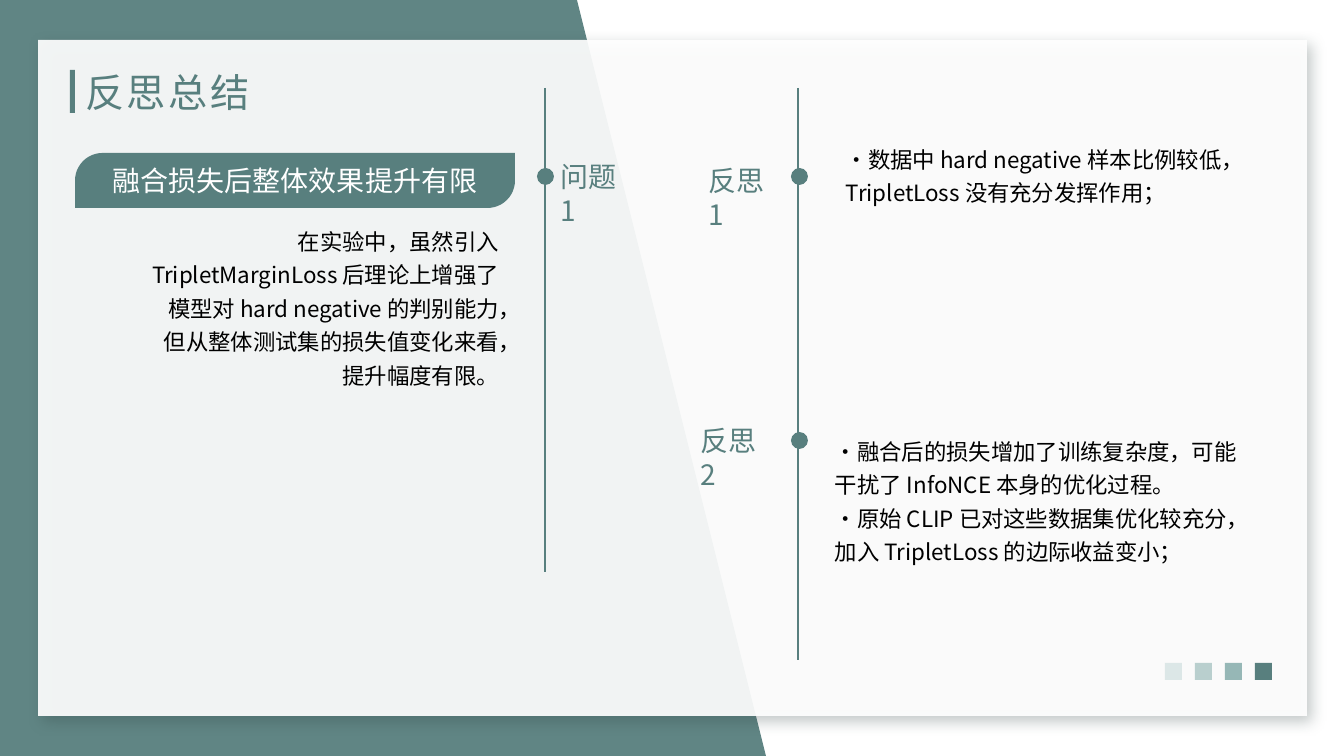
from pptx import Presentation
from pptx.dml.color import RGBColor
from pptx.enum.shapes import MSO_CONNECTOR as Connector, MSO_SHAPE as Shape
from pptx.enum.text import MSO_ANCHOR as Anchor, PP_ALIGN as Align
from pptx.oxml import parse_xml
from pptx.oxml.ns import nsdecls
from pptx.oxml.xmlchemy import OxmlElement
from pptx.util import Emu, Pt

SCALE = 914400 / 100.8
FONT = "Noto Sans CJK SC"
COLORS = {
    "teal": "587F7E",
    "mid": "96B7B6",
    "light": "B9CFCE",
    "pale": "DCE7E7",
    "shade": "2C403F",
    "white": "FFFFFF",
    "black": "000000",
}


def px(value):
    return Emu(round(value * SCALE))


def color(name):
    return RGBColor.from_string(COLORS[name])


class SlideBuilder:
    def __init__(self, deck):
        self.page = deck.slides.add_slide(deck.slide_layouts[5])
        self.shapes = self.page.shapes

    def paint(self, shape, fill, opacity=100):
        shape.shadow.inherit = False
        shape.fill.solid()
        shape.fill.fore_color.rgb = color(fill)
        shape.line.fill.background()
        if opacity < 100:
            alpha = OxmlElement("a:alpha")
            alpha.set("val", str(opacity * 1000))
            shape._element.spPr.find("{*}solidFill/{*}srgbClr").append(alpha)
        return shape

    def shape(self, kind, left, top, width, height, fill, opacity=100):
        shape = self.shapes.add_shape(kind, px(left), px(top), px(width), px(height))
        return self.paint(shape, fill, opacity)

    def polygon(self, points, fill, opacity):
        outline = self.shapes.build_freeform(*points[0], scale=SCALE)
        outline.add_line_segments(points[1:], close=True)
        return self.paint(outline.convert_to_shape(), fill, opacity)

    def drop_shadow(self, shape):
        effects = shape._element.spPr.find("{*}effectLst")
        effects.append(parse_xml(
            f'<a:outerShdw {nsdecls("a")} blurRad="{Pt(10)}" dist="{Pt(6)}" '
            f'dir="2700000" algn="tl" rotWithShape="0">'
            f'<a:srgbClr val="{COLORS["shade"]}"><a:alpha val="30000"/></a:srgbClr>'
            f'</a:outerShdw>'))

    def vertical_line(self, x, top, bottom):
        line = self.shapes.add_connector(
            Connector.STRAIGHT, px(x), px(top), px(x), px(bottom))
        line.line.color.rgb = color("teal")
        line.line.width = Pt(2)
        line._element.spPr.append(OxmlElement("a:effectLst"))

    def fill_text(self, frame, texts, size, ink, align=Align.LEFT, spacing=None, tracking=0):
        frame.word_wrap = True
        for index, text in enumerate(texts):
            para = frame.add_paragraph() if index else frame.paragraphs[0]
            para.alignment = align
            para.line_spacing = spacing
            span = para.add_run()
            span.text = text
            span.font.size = Pt(size)
            span.font.name = FONT
            span.font.color.rgb = color(ink)
            properties = span._r.get_or_add_rPr()
            east_asian = OxmlElement("a:ea")
            east_asian.set("typeface", FONT)
            properties.find("{*}latin").addnext(east_asian)
            if tracking:
                properties.set("spc", str(tracking * 100))

    def text(self, left, top, width, height, texts, size, ink, **style):
        box = self.shapes.add_textbox(px(left), px(top), px(width), px(height))
        self.fill_text(box.text_frame, texts, size, ink, **style)

    def title(self, left, top, width, height, text):
        box = self.shapes.title
        box.left, box.top, box.width, box.height = map(px, (left, top, width, height))
        box.text_frame.vertical_anchor = Anchor.MIDDLE
        self.fill_text(box.text_frame, [text], 28, "teal", tracking=2)
        self.shapes._spTree.append(box._element)


def main():
    deck = Presentation()
    deck.slide_width, deck.slide_height = px(1344), px(756)
    slide = SlideBuilder(deck)

    slide.shape(Shape.RECTANGLE, 306, 0, 1038, 756, "white", 95)
    slide.polygon([(0, 0), (577, 0), (766, 756), (0, 756)], "teal", 95)
    card = slide.shape(Shape.RECTANGLE, 38, 40, 1269, 676, "white", 92)
    slide.drop_shadow(card)

    for index, fill in enumerate(["pale", "light", "mid", "teal"]):
        slide.shape(Shape.RECTANGLE, 1165 + 30 * index, 663, 17, 17, fill)

    slide.shape(Shape.RECTANGLE, 70, 70, 5, 43, "teal")
    slide.title(75, 62, 546, 59, "反思总结")

    slide.vertical_line(545, 88, 572)
    slide.vertical_line(798, 88, 660)
    for left, top in [(537, 168), (791, 168), (791, 432)]:
        slide.shape(Shape.OVAL, left, top, 17, 17, "teal")

    banner = slide.shape(Shape.ROUND_2_DIAG_RECTANGLE, 75, 153, 440, 55, "teal")
    banner.adjustments[0] = 0.5
    banner.adjustments[1] = 0
    banner.text_frame.vertical_anchor = Anchor.MIDDLE
    slide.fill_text(banner.text_frame, ["融合损失后整体效果提升有限"], 20, "white",
                    align=Align.CENTER)

    for left, top, label in [(551, 155, "问题1"), (699, 159, "反思1"), (691, 419, "反思2")]:
        slide.text(left, top, 90, 44, [label], 20, "teal")

    slide.text(142, 216, 367, 212, [
        "在实验中，虽然引入 TripletMarginLoss 后理论上增强了模型对 hard negative "
        "的判别能力，但从整体测试集的损失值变化来看，提升幅度有限。",
    ], 16, "black", align=Align.RIGHT, spacing=1.25)
    slide.text(836, 134, 428, 76, [
        "·数据中 hard negative 样本比例较低，TripletLoss 没有充分发挥作用；",
    ], 16, "black", spacing=1.25)
    slide.text(825, 426, 428, 144, [
        "·融合后的损失增加了训练复杂度，可能干扰了 InfoNCE 本身的优化过程。",
        "·原始 CLIP 已对这些数据集优化较充分，加入 TripletLoss 的边际收益变小；",
    ], 16, "black", spacing=1.25)

    deck.save("out.pptx")


if __name__ == "__main__":
    main()
